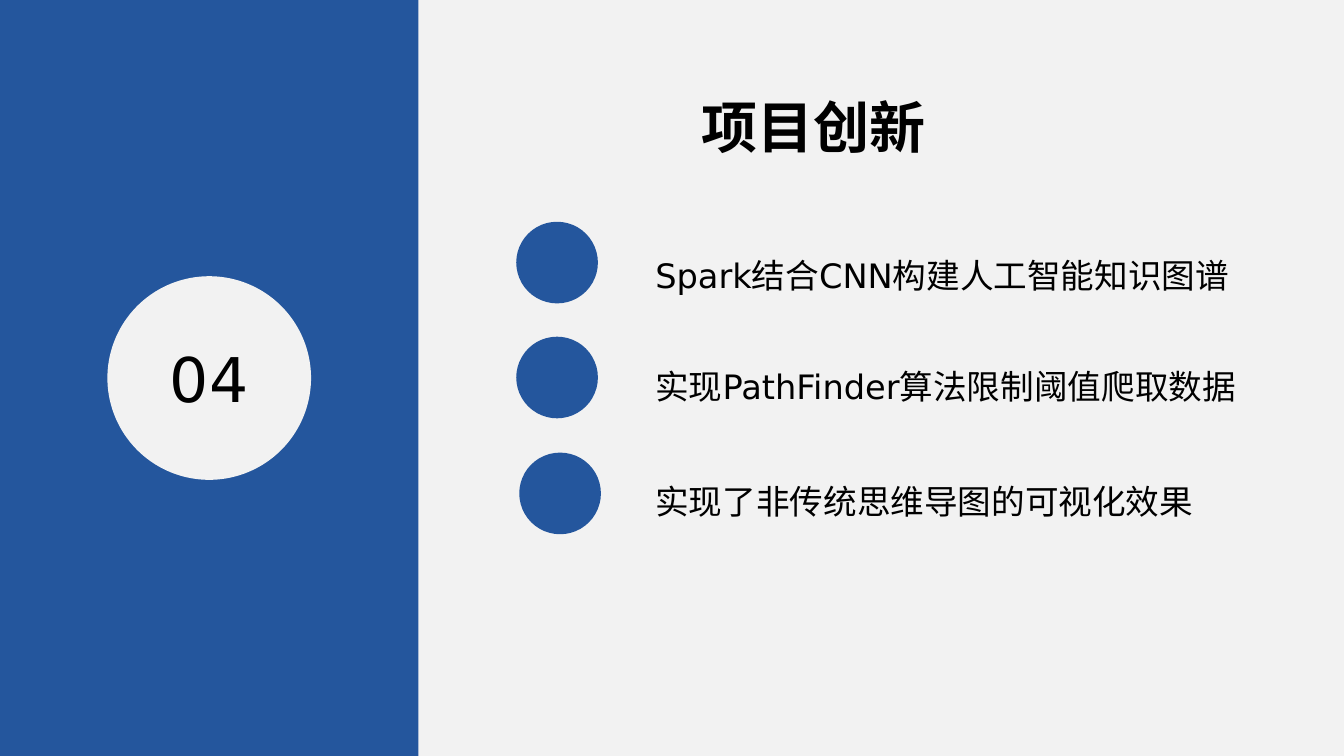
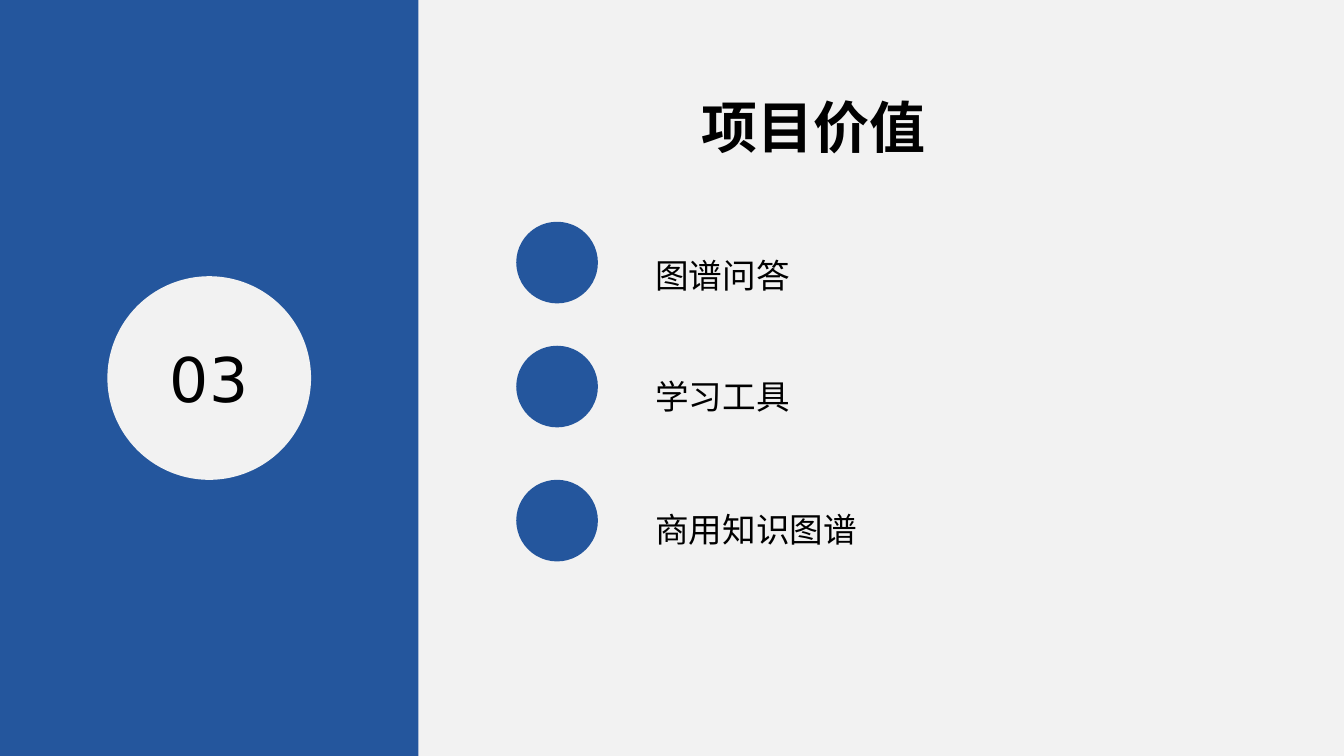
from lxml.etree import SubElement
from pptx import Presentation
from pptx.dml.color import RGBColor
from pptx.enum.shapes import MSO_SHAPE as Preset
from pptx.enum.text import MSO_ANCHOR as Anchor, MSO_AUTO_SIZE as AutoSize, PP_ALIGN as Align
from pptx.oxml.ns import qn
from pptx.util import Inches, Pt

# Content: row_tops are the upper edges of the dots, pitches the steps between text lines
SECTIONS = [
    {
        "number": "04",
        "title": "项目创新",
        "items": [
            "Spark结合CNN构建人工智能知识图谱",
            "实现PathFinder算法限制阈值爬取数据",
            "实现了非传统思维导图的可视化效果",
        ],
        "dots": [(5.12, 2.2), (5.12, 3.34), (5.15, 4.49)],
        "pitches": [1.1, 1.14],
    },
    {
        "number": "03",
        "title": "项目价值",
        "items": ["图谱问答", "学习工具", "商用知识图谱"],
        "dots": [(5.12, 2.2), (5.12, 3.43), (5.12, 4.76)],
        "pitches": [1.2, 1.32],
    },
]

# Shared style
COLORS = {"blue": "24569D", "paper": "F2F2F2", "ink": "000000"}
FONT = "DejaVu Sans"
SLIDE_WIDTH, SLIDE_HEIGHT = 13.33, 7.5
BAND_WIDTH = 4.15
BADGE_SIZE, DOT_SIZE = 2.02, 0.81
LINE_HEIGHT = 0.5


def paint(fill, color):
    fill.solid()
    fill.fore_color.rgb = RGBColor.from_string(COLORS[color])


def add_block(slide, preset, left, top, width, height, color):
    shape = slide.shapes.add_shape(
        preset, Inches(left), Inches(top), Inches(width), Inches(height))
    shape.shadow.inherit = False
    paint(shape.fill, color)
    shape.line.fill.background()
    return shape


def place(shape, left, top, width, height):
    shape.left, shape.top = Inches(left), Inches(top)
    shape.width, shape.height = Inches(width), Inches(height)


def write(shape, lines, size, bold=False, align=Align.LEFT, anchor=Anchor.TOP,
          line_height=None, gaps=None):
    """Fill a shape with one paragraph per line; gaps are the spaces before each."""
    frame = shape.text_frame
    frame.word_wrap = True
    frame.auto_size = AutoSize.NONE
    frame.vertical_anchor = anchor
    frame.text = "\n".join(lines)
    for paragraph, gap in zip(frame.paragraphs, gaps or [0] * len(lines)):
        properties = paragraph._p.get_or_add_pPr()
        properties.set("marL", "0")
        properties.set("indent", "0")
        SubElement(properties, qn("a:buNone"))
        paragraph.alignment = align
        paragraph.space_before = Inches(gap)
        if line_height:
            paragraph.line_spacing = Inches(line_height)
        font = paragraph.font
        font.name, font.size, font.bold = FONT, Pt(size), bold
        font.color.rgb = RGBColor.from_string(COLORS["ink"])


def add_section(presentation, section):
    slide = presentation.slides.add_slide(presentation.slide_layouts[1])
    title, body = slide.placeholders

    # Side band with the section number
    add_block(slide, Preset.RECTANGLE, 0, 0, BAND_WIDTH, SLIDE_HEIGHT, "blue")
    badge = add_block(slide, Preset.OVAL, (BAND_WIDTH - BADGE_SIZE) / 2,
                      (SLIDE_HEIGHT - BADGE_SIZE) / 2, BADGE_SIZE, BADGE_SIZE, "paper")
    write(badge, [section["number"]], 44, align=Align.CENTER, anchor=Anchor.MIDDLE)

    # Title
    place(title, 6.86, 0.87, 3.67, 0.76)
    write(title, [section["title"]], 40, bold=True)

    # Dots and list
    for left, top in section["dots"]:
        add_block(slide, Preset.OVAL, left, top, DOT_SIZE, DOT_SIZE, "blue")
    place(body, 6.4, 2.38, 6.49, 3.5)
    gaps = [0] + [pitch - LINE_HEIGHT for pitch in section["pitches"]]
    write(body, section["items"], 24, line_height=LINE_HEIGHT, gaps=gaps)


def main():
    presentation = Presentation()
    presentation.slide_width = Inches(SLIDE_WIDTH)
    presentation.slide_height = Inches(SLIDE_HEIGHT)
    paint(presentation.slide_master.background.fill, "paper")
    for section in SECTIONS:
        add_section(presentation, section)
    presentation.save("out.pptx")


if __name__ == "__main__":
    main()
